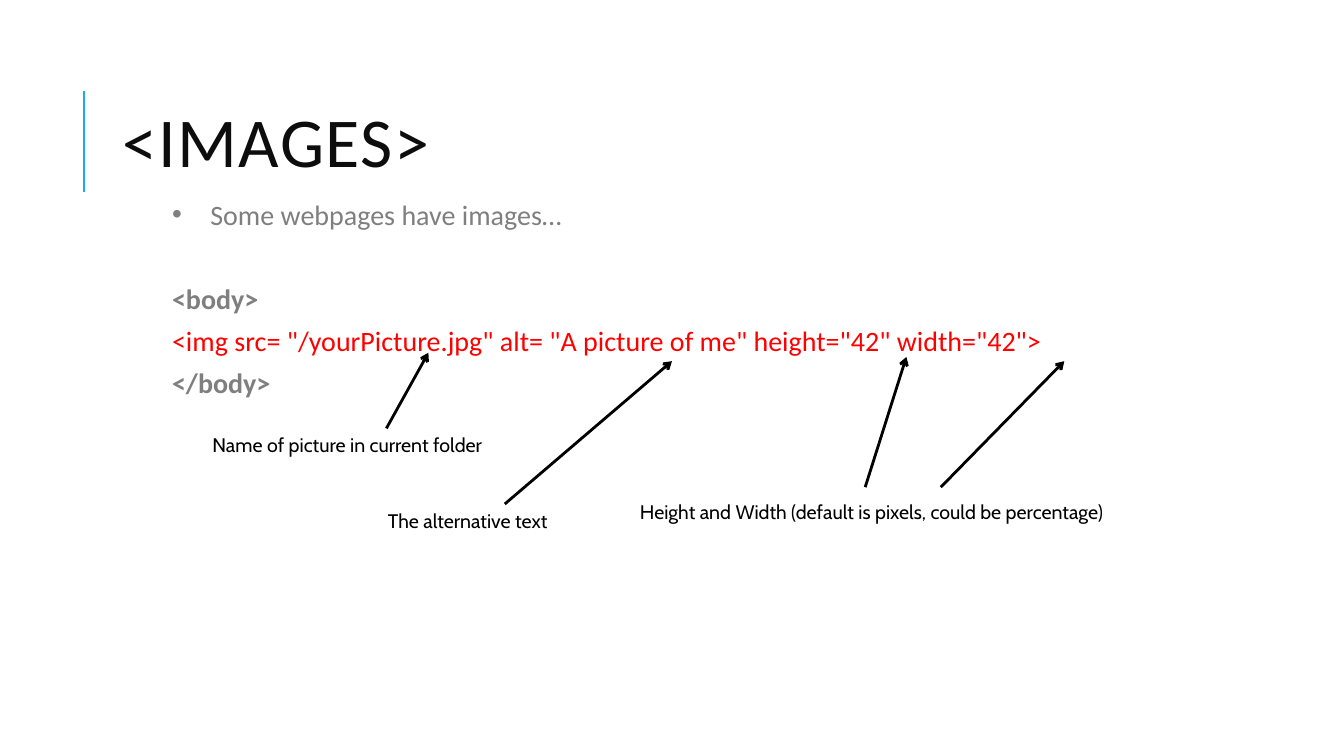
from dataclasses import dataclass
from typing import NamedTuple

from lxml.etree import SubElement
from pptx import Presentation
from pptx.dml.color import RGBColor
from pptx.enum.shapes import MSO_CONNECTOR
from pptx.enum.text import MSO_ANCHOR, MSO_AUTO_SIZE
from pptx.oxml.ns import qn
from pptx.util import Inches, Pt

# Grid: 160 columns by 90 rows
WIDE, HIGH = Inches(13.333), Inches(7.5)
COLS, ROWS = 160, 90
GREY, RED, BLACK, BLUE = "7F7F7F", "FF0000", "000000", "1CADE4"


class Box(NamedTuple):
    col: float
    row: float
    cols: float
    rows: float


class Line(NamedTuple):
    col: float
    row: float
    to_col: float
    to_row: float
    color: str = BLACK
    width: float = 2
    arrow: bool = True


@dataclass
class Run:
    text: str
    size: float
    color: str
    font: str = "Calibri"
    bold: bool = False


@dataclass
class Row:
    run: Run
    before: float = 0
    bullet: bool = False


@dataclass
class Label:
    text: str
    box: Box


def across(col: float) -> int:
    return round(WIDE * col / COLS)


def down(row: float) -> int:
    return round(HIGH * row / ROWS)


def paint(code: str) -> RGBColor:
    return RGBColor.from_string(code)


def add_box(slide, box: Box):
    shape = slide.shapes.add_textbox(across(box.col), down(box.row),
                                     across(box.cols), down(box.rows))
    shape.text_frame.word_wrap = True
    return shape.text_frame


def add_run(para, item: Run):
    run = para.add_run()
    run.text = item.text
    font = run.font
    font.size, font.name, font.bold = Pt(item.size), item.font, item.bold
    font.color.rgb = paint(item.color)
    return run


def add_bullet(para, color: str) -> None:
    props = para._p.get_or_add_pPr()
    props.set("marL", str(Inches(0.38)))
    props.set("indent", str(-Inches(0.38)))
    tint = SubElement(props, qn("a:buClr"))
    SubElement(tint, qn("a:srgbClr"), val=color)
    SubElement(props, qn("a:buFont"), typeface="Arial")
    SubElement(props, qn("a:buChar"), char="•")


def add_line(slide, line: Line) -> None:
    link = slide.shapes.add_connector(
        MSO_CONNECTOR.STRAIGHT, across(line.col), down(line.row),
        across(line.to_col), down(line.to_row))
    link.line.color.rgb = paint(line.color)
    link.line.width = Pt(line.width)
    if line.arrow:
        SubElement(link.line._get_or_add_ln(), qn("a:tailEnd"), type="arrow")
    SubElement(link._element.spPr, qn("a:effectLst"))


def add_title(slide, text: str, box: Box) -> None:
    frame = add_box(slide, box)
    frame.vertical_anchor = MSO_ANCHOR.MIDDLE
    para = frame.paragraphs[0]
    para.line_spacing = 0.8
    run = add_run(para, Run(text, 50, "0D0D0D"))
    run.font._element.set("spc", "100")


def add_body(slide, rows: list[Row], box: Box) -> None:
    frame = add_box(slide, box)
    frame.margin_left = frame.margin_right = Inches(0.04)
    frame.margin_top = frame.margin_bottom = Inches(0.04)
    for i, row in enumerate(rows):
        para = frame.add_paragraph() if i else frame.paragraphs[0]
        if row.bullet:
            add_bullet(para, row.run.color)
        if row.before:
            para.space_before = Pt(row.before)
        add_run(para, row.run)


def add_label(slide, label: Label) -> None:
    frame = add_box(slide, label.box)
    frame.auto_size = MSO_AUTO_SIZE.SHAPE_TO_FIT_TEXT
    add_run(frame.paragraphs[0], Run(label.text, 14, BLACK, "Cabin"))


BODY = [
    Row(Run("Some webpages have images…", 20, GREY), bullet=True),
    Row(Run("<body>", 20, GREY, bold=True), before=36.4),
    Row(Run('<img src= "/yourPicture.jpg" alt= "A picture of me" '
            'height="42" width="42">', 20, RED), before=6),
    Row(Run("</body>", 20, GREY, bold=True), before=6),
]
LABELS = [
    Label("Name of picture in current folder", Box(24.1, 51, 36, 4)),
    Label("The alternative text", Box(45, 60, 27, 4)),
    Label("Height and Width (default is pixels, could be percentage)",
          Box(75, 58.9, 65, 4)),
]
LINES = [
    Line(10, 22.8, 10, 10.8, BLUE, 1.5, False),
    Line(46, 51, 51, 42),
    Line(60.1, 60, 80, 43),
    Line(103, 58, 107.9, 42.5),
    Line(112, 58, 126.7, 43),
]


def main() -> None:
    deck = Presentation()
    deck.slide_width, deck.slide_height = WIDE, HIGH
    slide = deck.slides.add_slide(deck.slide_layouts[6])
    # Heading and code
    add_title(slide, "<IMAGES>", Box(13.4, 7.7, 127.6, 19.7))
    add_body(slide, BODY, Box(20, 23, 120, 64))
    # Accent bar and arrows
    for line in LINES:
        add_line(slide, line)
    # Notes on each attribute
    for label in LABELS:
        add_label(slide, label)
    deck.save("out.pptx")


if __name__ == "__main__":
    main()
